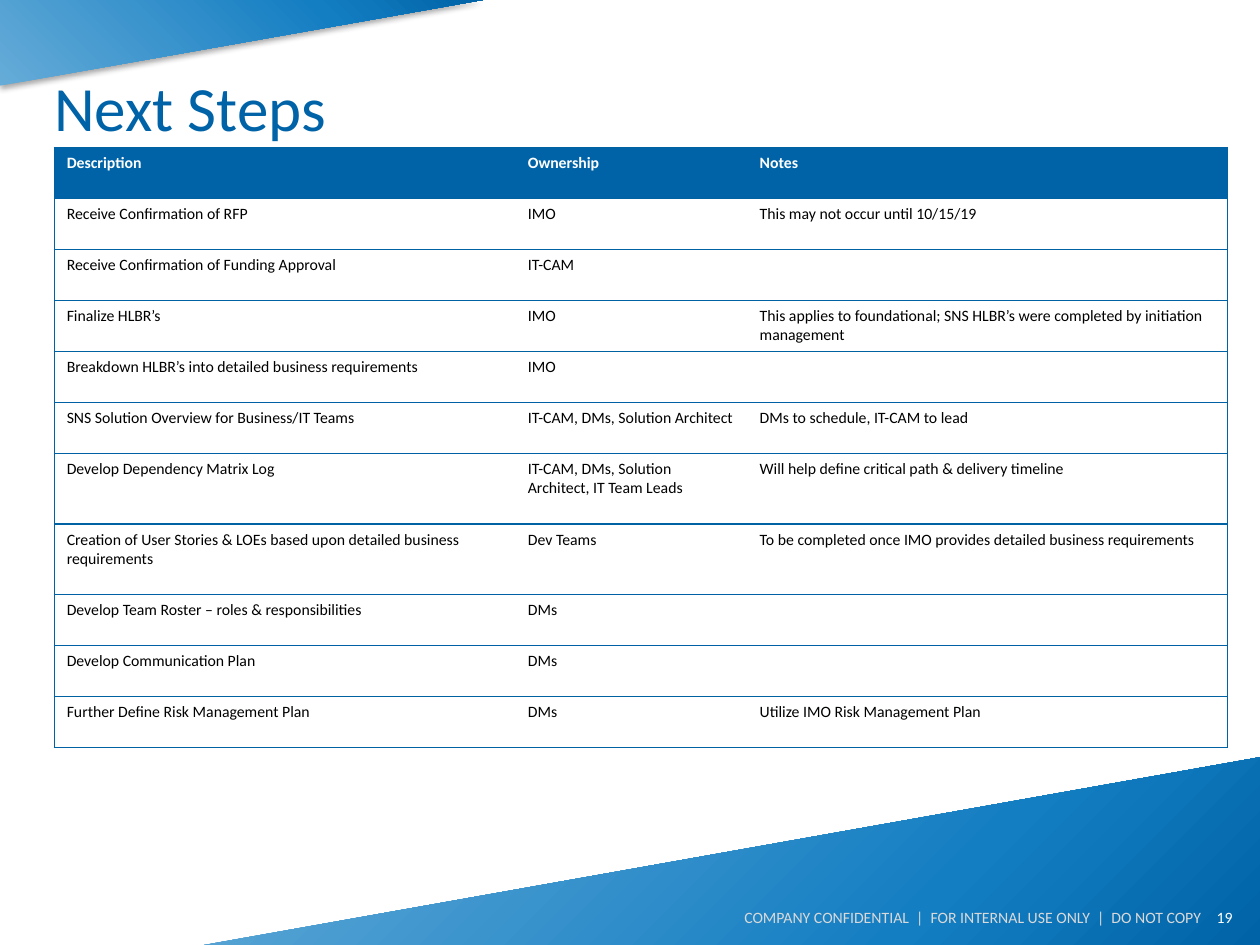
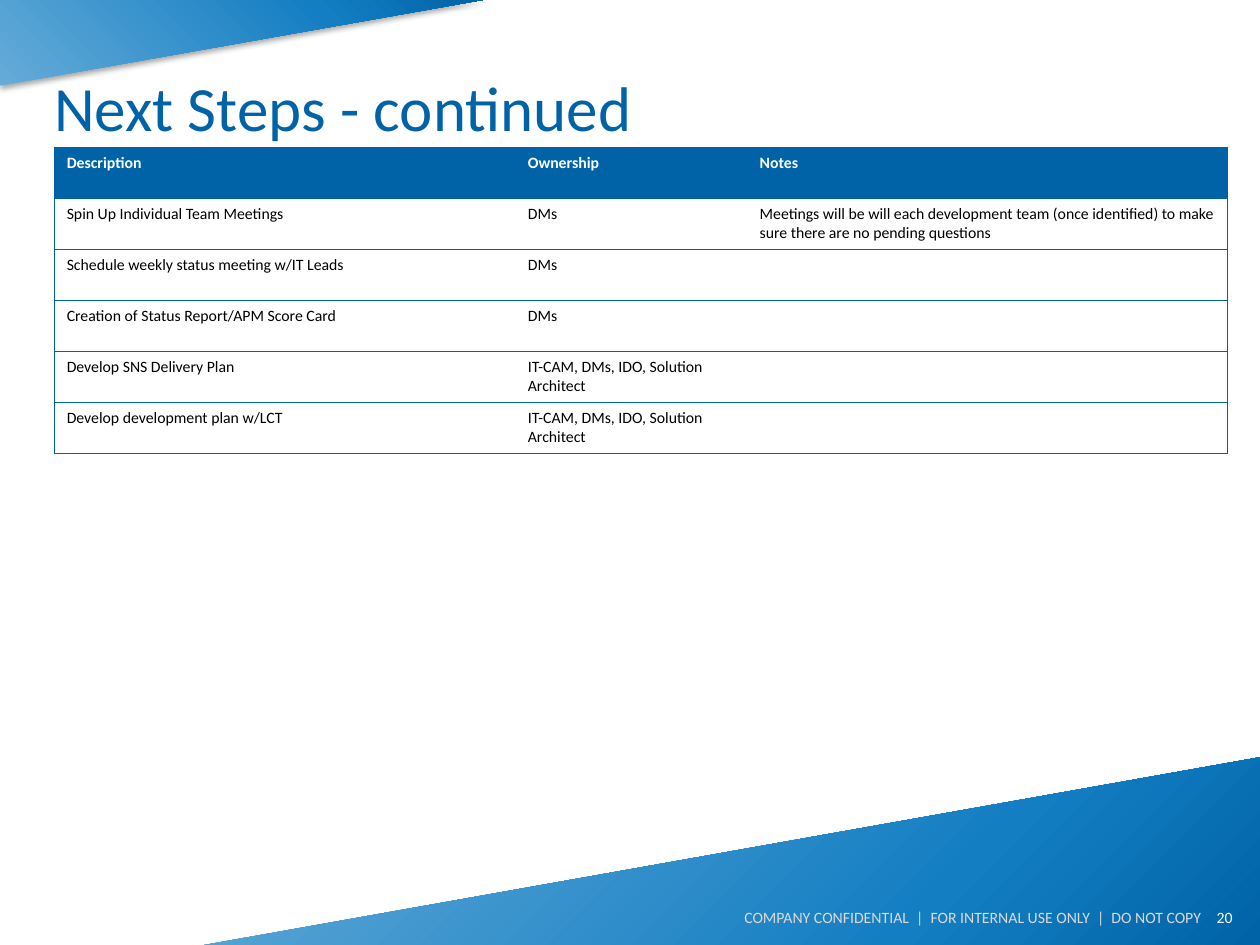
from lxml import etree
from pptx import Presentation
from pptx.dml.color import RGBColor
from pptx.enum.text import MSO_ANCHOR, PP_ALIGN
from pptx.oxml import parse_xml
from pptx.oxml.ns import nsdecls, qn
from pptx.util import Inches, Pt

BLUE = "0063A7"
BORDER = "0061A3"
WHITE = "FFFFFF"
BLACK = "000000"
FOOTER_GRAY = "D9D9D9"
GRADIENT = [(0, BLUE), (30, "147EC2"), (100, "66ACD8")]

FOOTER = "COMPANY CONFIDENTIAL  |  FOR INTERNAL USE ONLY  |  DO NOT COPY"
HEADER = ("Description", "Ownership", "Notes")
COLUMN_WIDTHS = (3.66, 1.84, 3.81)
ROW_HEIGHT = 2.43 / 6
TALL_ROW_HEIGHT = 0.56
FIRST_NUMBER = 19

PAGES = [
    ("Next Steps", [
        ("Receive Confirmation of RFP", "IMO", "This may not occur until 10/15/19"),
        ("Receive Confirmation of Funding Approval", "IT-CAM", ""),
        ("Finalize HLBR’s", "IMO",
         "This applies to foundational; SNS HLBR’s were completed by initiation management"),
        ("Breakdown HLBR’s into detailed business requirements", "IMO", ""),
        ("SNS Solution Overview for Business/IT Teams", "IT-CAM, DMs, Solution Architect",
         "DMs to schedule, IT-CAM to lead"),
        ("Develop Dependency Matrix Log", "IT-CAM, DMs, Solution Architect, IT Team Leads",
         "Will help define critical path & delivery timeline"),
        ("Creation of User Stories & LOEs based upon detailed business requirements", "Dev Teams",
         "To be completed once IMO provides detailed business requirements"),
        ("Develop Team Roster – roles & responsibilities", "DMs", ""),
        ("Develop Communication Plan", "DMs", ""),
        ("Further Define Risk Management Plan", "DMs", "Utilize IMO Risk Management Plan"),
    ], (6, 7)),
    ("Next Steps - continued", [
        ("Spin Up Individual Team Meetings", "DMs",
         "Meetings will be will each development team (once identified) to make sure "
         "there are no pending questions"),
        ("Schedule weekly status meeting w/IT Leads", "DMs", ""),
        ("Creation of Status Report/APM Score Card", "DMs", ""),
        ("Develop SNS Delivery Plan", "IT-CAM, DMs, IDO, Solution Architect", ""),
        ("Develop development plan w/LCT", "IT-CAM, DMs, IDO, Solution Architect", ""),
    ], ()),
]

BANDS = [
    ([(0, 0.71), (0, 0), (3.83, 0), (0, 0.68)], "b"),
    ([(10, 6.01), (10, 7.5), (1.62, 7.5)], "t"),
]


def style_text(paragraph, size, color, alignment=PP_ALIGN.LEFT, bold=False):
    paragraph.alignment = alignment
    paragraph.font.name = "Calibri"
    paragraph.font.size = Pt(size)
    paragraph.font.bold = bold
    paragraph.font.color.rgb = RGBColor.from_string(color)


def add_small_text(slide, text, left, top, width, height, color, side_margin):
    box = slide.shapes.add_textbox(Inches(left), Inches(top), Inches(width), Inches(height))
    frame = box.text_frame
    frame.word_wrap = True
    frame.vertical_anchor = MSO_ANCHOR.MIDDLE
    frame.margin_left = frame.margin_right = Inches(side_margin)
    frame.text = text
    style_text(frame.paragraphs[0], 9, color, PP_ALIGN.RIGHT)
    return box


presentation = Presentation()
presentation.slide_width = Inches(10)
presentation.slide_height = Inches(7.5)
layout = presentation.slide_layouts[5]
slides = [presentation.slides.add_slide(layout) for page in PAGES]

stops = "".join(
    f'<a:gs pos="{position * 1000}"><a:srgbClr val="{color}"/></a:gs>'
    for position, color in GRADIENT
)
shared_shapes = []
for points, far_side in BANDS:
    corners = [(Inches(x), Inches(y)) for x, y in points]
    builder = slides[0].shapes.build_freeform(*corners[0])
    builder.add_line_segments(corners[1:], close=True)
    band = builder.convert_to_shape()
    band.fill.background()
    band.line.fill.background()
    band.shadow.inherit = False
    properties = band.element.spPr
    gradient = parse_xml(
        f'<a:gradFill {nsdecls("a")} rotWithShape="1"><a:gsLst>{stops}</a:gsLst>'
        f'<a:path path="circle"><a:fillToRect l="100000" {far_side}="100000"/></a:path>'
        '</a:gradFill>'
    )
    properties.replace(properties.find(qn("a:noFill")), gradient)
    properties.find(qn("a:effectLst")).append(parse_xml(
        f'<a:outerShdw {nsdecls("a")} blurRad="{Pt(3.1)}" dist="{Pt(1.8)}" dir="5400000" '
        f'rotWithShape="0"><a:srgbClr val="{BLACK}"><a:alpha val="35000"/></a:srgbClr>'
        '</a:outerShdw>'
    ))
    shared_shapes.append(band)

shared_shapes.append(add_small_text(slides[0], FOOTER, 4.33, 7.2, 5.2, 0.16, FOOTER_GRAY, 0))
for shape in shared_shapes:
    layout.shapes.element.append(shape.element)

for number, (slide, (heading, steps, tall_rows)) in enumerate(zip(slides, PAGES), FIRST_NUMBER):
    add_small_text(slide, str(number), 9.19, 7.08, 0.69, 0.4, WHITE, 0.1)

    title = slide.shapes.title
    title.left, title.top = Inches(0.43), Inches(0.3)
    title.width, title.height = Inches(9.14), Inches(1.09)
    title.text_frame.text = heading
    title.text_frame.margin_left = 0
    title.text_frame.vertical_anchor = MSO_ANCHOR.MIDDLE
    style_text(title.text_frame.paragraphs[0], 36, BLUE)

    rows = [HEADER, *steps]
    table = slide.shapes.add_table(
        len(rows), len(HEADER), Inches(0.43), Inches(1.17),
        Inches(sum(COLUMN_WIDTHS)), Inches(ROW_HEIGHT * len(rows)),
    ).table
    table.horz_banding = False
    for column, width in zip(table.columns, COLUMN_WIDTHS):
        column.width = Inches(width)

    for row_index, texts in enumerate(rows):
        is_header = row_index == 0
        table.rows[row_index].height = Inches(
            TALL_ROW_HEIGHT if row_index in tall_rows else ROW_HEIGHT)
        for column_index, text in enumerate(texts):
            cell = table.cell(row_index, column_index)
            cell.text = text
            style_text(cell.text_frame.paragraphs[0], 9, WHITE if is_header else BLACK,
                       bold=is_header)
            visible_edges = {
                "lnL": column_index == 0,
                "lnR": column_index == len(HEADER) - 1,
                "lnT": True,
                "lnB": True,
            }
            cell_properties = cell._tc.get_or_add_tcPr()
            for edge, visible in visible_edges.items():
                line = etree.SubElement(cell_properties, qn(f"a:{edge}"), w=str(Pt(0.75)))
                if visible:
                    fill = etree.SubElement(line, qn("a:solidFill"))
                    etree.SubElement(fill, qn("a:srgbClr"), val=BORDER)
                else:
                    etree.SubElement(line, qn("a:noFill"))
            if is_header:
                cell.fill.solid()
                cell.fill.fore_color.rgb = RGBColor.from_string(BLUE)
            else:
                cell.fill.background()

presentation.save("out.pptx")
